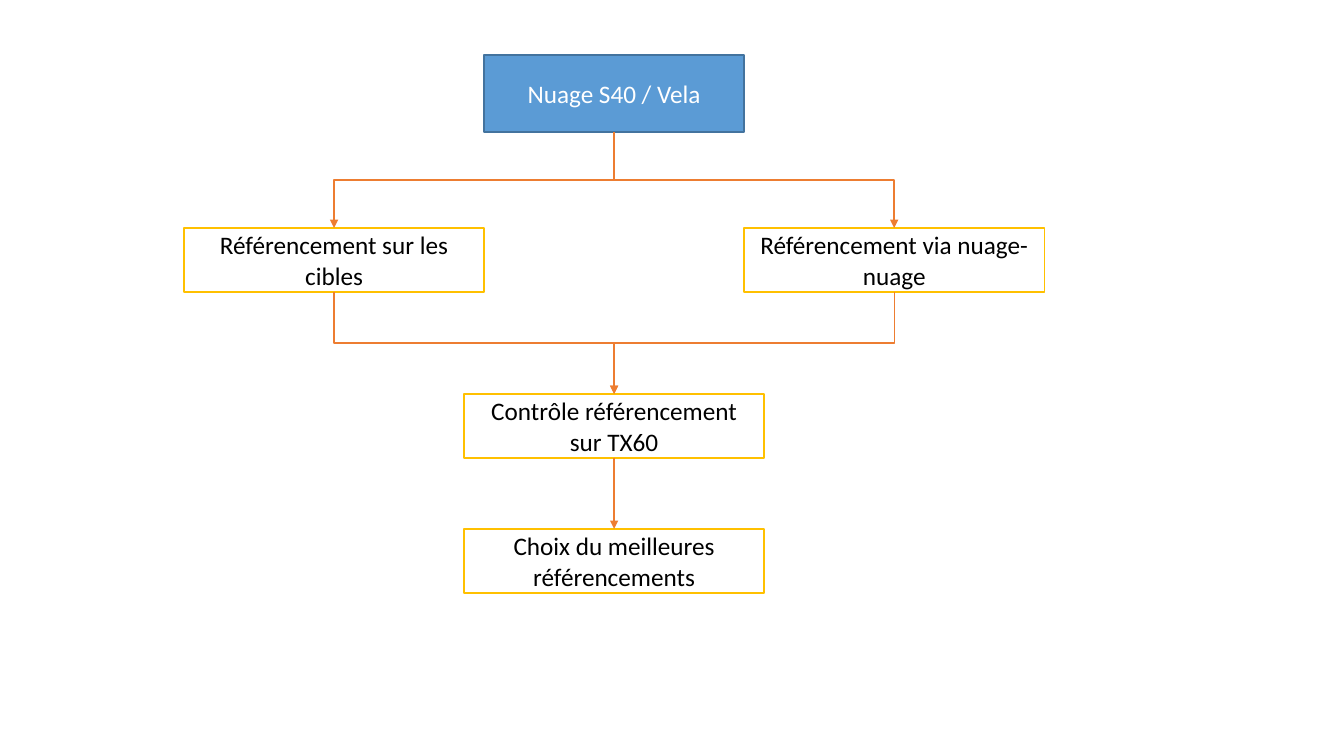
from lxml import etree
from pptx import Presentation
from pptx.dml.color import RGBColor
from pptx.enum.shapes import MSO_CONNECTOR, MSO_SHAPE
from pptx.enum.text import MSO_ANCHOR, PP_ALIGN
from pptx.oxml.ns import qn
from pptx.util import Inches, Pt

COLORS = {
    "root_fill": "5B9BD5", "root_line": "43739E", "root_text": "FFFFFF",
    "step_fill": "FFFFFF", "step_line": "FFC000", "step_text": "000000",
    "arrow": "ED7D31",
}
TOP, BOTTOM = 0, 2  # connection sites of a rectangle
CENTER_X = 614
BRANCH_OFFSET = 280
ROOT_SIZE = (260, 77)
STEP_SIZE = (300, 64)


def px(value):
    """Convert pixels to EMU."""
    return round(value * Inches(1) / 100.8)


def rgb(name):
    """Return a palette colour."""
    return RGBColor.from_string(COLORS[name])


def add_box(slide, text, center_x, top, size=STEP_SIZE, style="step"):
    """Add a text rectangle centred on center_x."""
    width, height = size
    box = slide.shapes.add_shape(MSO_SHAPE.RECTANGLE, px(center_x - width / 2),
                                 px(top), px(width), px(height))
    box.shadow.inherit = False
    box.fill.solid()
    box.fill.fore_color.rgb = rgb(style + "_fill")
    box.line.color.rgb = rgb(style + "_line")
    box.line.width = Pt(1)
    frame = box.text_frame
    frame.word_wrap = True
    frame.vertical_anchor = MSO_ANCHOR.MIDDLE
    paragraph = frame.paragraphs[0]
    paragraph.alignment = PP_ALIGN.CENTER
    run = paragraph.add_run()
    run.text = text
    run.font.name = "Calibri"
    run.font.size = Pt(18)
    run.font.color.rgb = rgb(style + "_text")
    return box


def turn_elbow(arrow, dx, dy):
    """Rotate an elbow so that it leaves and arrives vertically."""
    mid_x = arrow.left + arrow.width // 2
    mid_y = arrow.top + arrow.height // 2
    arrow.width, arrow.height = dy, abs(dx)
    arrow.left, arrow.top = mid_x - dy // 2, mid_y - abs(dx) // 2
    xfrm = arrow._element.spPr.find(qn("a:xfrm"))
    xfrm.set("rot", str((270 if dx > 0 else 90) * 60000))
    xfrm.set("flipH", "1" if dx > 0 else "0")
    xfrm.set("flipV", "0")


def add_arrow(slide, source, target):
    """Join the bottom of source to the top of target, bent if needed."""
    start_x = source.left + source.width // 2
    end_x = target.left + target.width // 2
    start_y, end_y = source.top + source.height, target.top
    bent = abs(end_x - start_x) > px(1)
    kind = MSO_CONNECTOR.ELBOW if bent else MSO_CONNECTOR.STRAIGHT
    arrow = slide.shapes.add_connector(kind, start_x, start_y, end_x, end_y)
    arrow.begin_connect(source, BOTTOM)
    arrow.end_connect(target, TOP)
    if bent:
        turn_elbow(arrow, end_x - start_x, end_y - start_y)
    arrow.line.color.rgb = rgb("arrow")
    arrow.line.width = Pt(1)
    etree.SubElement(arrow.line._get_or_add_ln(), qn("a:tailEnd"), type="triangle")
    etree.SubElement(arrow._element.spPr, qn("a:effectLst"))


def main():
    """Build the referencing flowchart."""
    prs = Presentation()
    prs.slide_width, prs.slide_height = Inches(13.33), Inches(7.5)
    slide = prs.slides.add_slide(prs.slide_layouts[6])

    cloud = add_box(slide, "Nuage S40 / Vela", CENTER_X, 55, ROOT_SIZE, "root")
    targets = add_box(slide, "Référencement sur les cibles",
                      CENTER_X - BRANCH_OFFSET, 228)
    cloud_to_cloud = add_box(slide, "Référencement via nuage-nuage",
                             CENTER_X + BRANCH_OFFSET, 228)
    control = add_box(slide, "Contrôle référencement sur TX60", CENTER_X, 394)
    choice = add_box(slide, "Choix du meilleures référencements", CENTER_X, 529)

    for branch in (targets, cloud_to_cloud):
        add_arrow(slide, cloud, branch)
        add_arrow(slide, branch, control)
    add_arrow(slide, control, choice)

    prs.save("out.pptx")


main()
